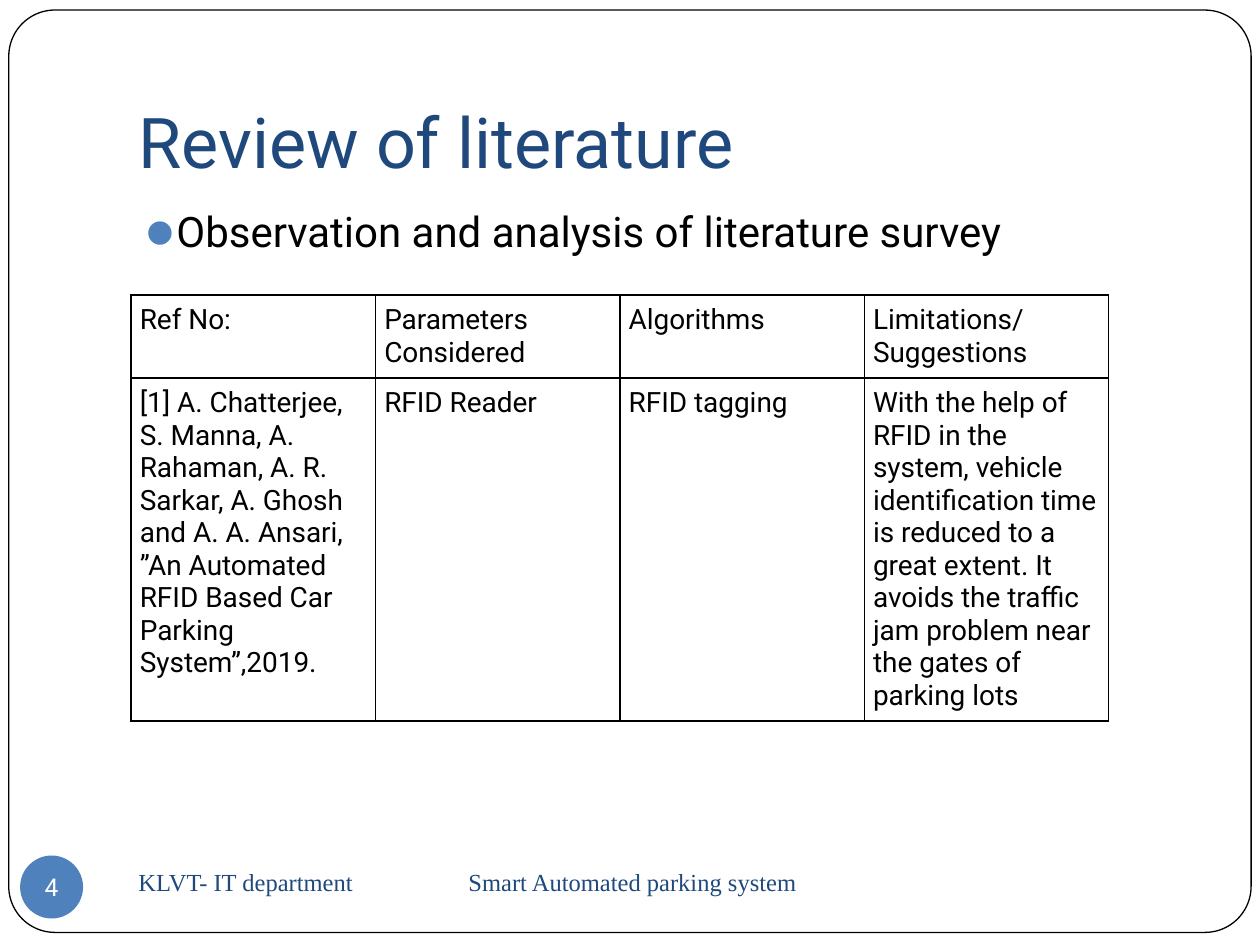
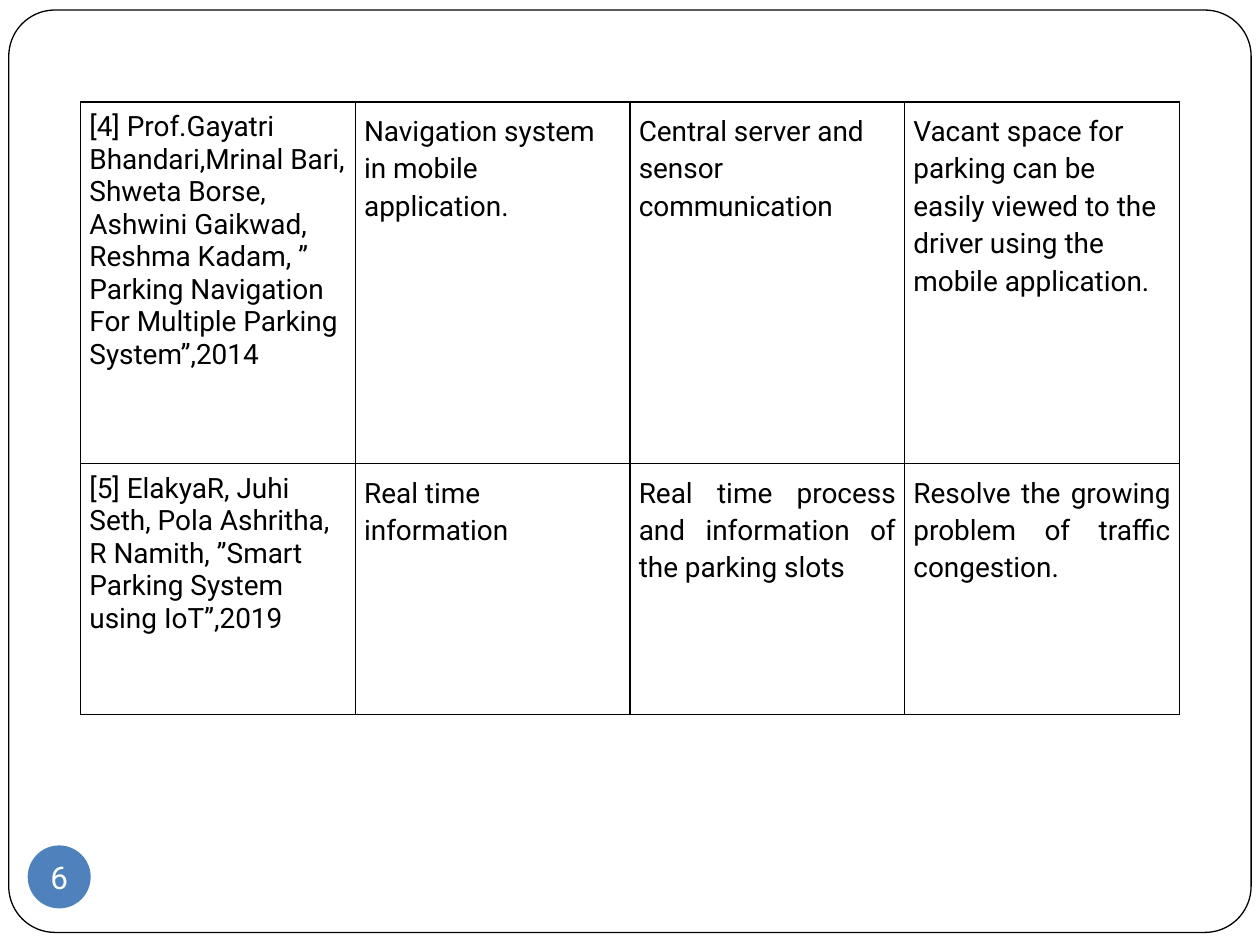
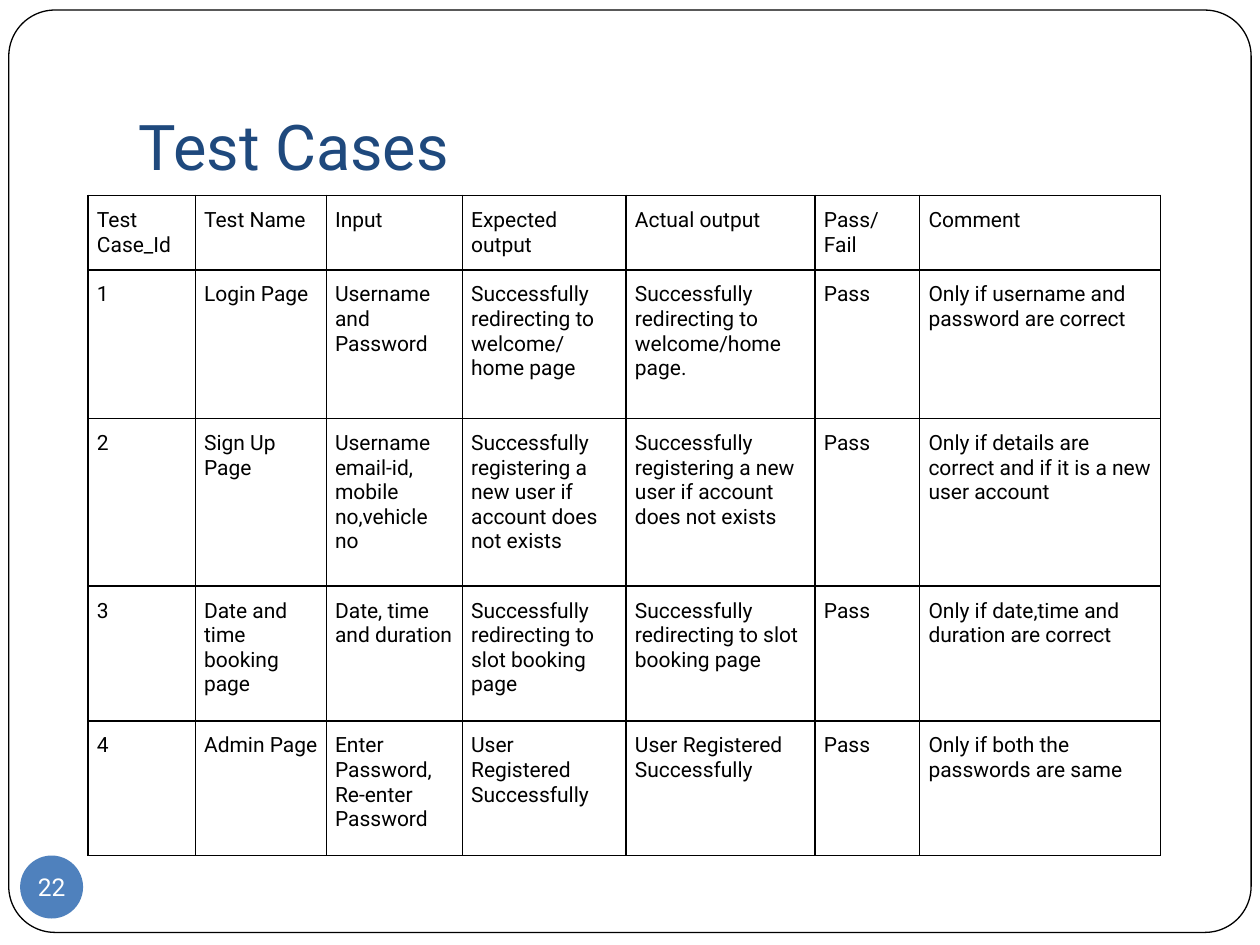
import pptx
import pptx.dml.color
import pptx.enum.shapes
import pptx.enum.text
import pptx.oxml
import pptx.oxml.ns
import pptx.util

COLUMNS, ROWS = 100, 75
CELL = pptx.util.Inches(0.1)
NAVY, BLUE, BLACK, WHITE = "1F497D", "4F81BD", "000000", "FFFFFF"
SANS, SERIF = "Roboto", "Times New Roman"
ALIGN = pptx.enum.text.PP_ALIGN
ANCHOR = pptx.enum.text.MSO_ANCHOR
SHAPE = pptx.enum.shapes.MSO_SHAPE
TITLE_AND_BODY, TITLE_ONLY, BLANK = 1, 5, 6

SURVEY_START = [
    ["Ref No:", "Parameters Considered", "Algorithms", "Limitations/Suggestions"],
    ["[1] A. Chatterjee, S. Manna, A. Rahaman, A. R. Sarkar, A. Ghosh and A. A. Ansari, "
     "”An Automated RFID Based Car Parking System”,2019.",
     "RFID Reader", "RFID tagging",
     "With the help of RFID in the system, vehicle identification time is reduced to a great extent. "
     "It avoids the traffic jam problem near the gates of parking lots"],
]
SURVEY_END = [
    ["[4] Prof.Gayatri Bhandari,Mrinal Bari, Shweta Borse, Ashwini Gaikwad, Reshma Kadam, "
     "” Parking Navigation For Multiple Parking System”,2014",
     "Navigation system in mobile application.", "Central server and sensor communication",
     "Vacant space for parking can be easily viewed to the driver using the mobile application."],
    ["[5] ElakyaR, Juhi Seth, Pola Ashritha, R Namith, ”Smart Parking System using IoT”,2019",
     "Real time information", "Real time process and information of the parking slots",
     "Resolve the growing problem of traffic congestion."],
]
REGISTERING = "Successfully registering a new user if account does not exists"
BOOKING = "Successfully redirecting to slot booking page"
REGISTERED = "User Registered Successfully"
TEST_CASES = [
    ["Test Case_Id", "Test Name", "Input", "Expected output", "Actual output", "Pass/Fail", "Comment"],
    ["1", "Login Page", "Username and Password", "Successfully redirecting to\nwelcome/home page",
     "Successfully redirecting to\nwelcome/home page.", "Pass", "Only if username and password are correct"],
    ["2", "Sign Up Page", "Username email-id, mobile no,vehicle no", REGISTERING, REGISTERING, "Pass",
     "Only if details are correct and if it is a new user account"],
    ["3", "Date and time booking page", "Date, time and duration", BOOKING, BOOKING, "Pass",
     "Only if date,time and duration are correct"],
    ["4", "Admin Page", "Enter Password, Re-enter Password", REGISTERED, REGISTERED, "Pass",
     "Only if both the passwords are same"],
]


def grid(*counts):
    """Turn counts of grid cells into lengths."""
    return [round(count * CELL) for count in counts]


def colour(value):
    """Return the colour for a hex string."""
    return pptx.dml.color.RGBColor.from_string(value)


def apply(target, values):
    """Set each named attribute on the target."""
    for name, value in values.items():
        setattr(target, name, value)


def add_xml(parent, tag, content):
    """Append a drawing element written as XML."""
    namespace = pptx.oxml.ns.nsdecls("a")
    parent.append(pptx.oxml.parse_xml(f"<a:{tag} {namespace} {content}"))


def style_text(frame, size, hue, font=SANS, **layout):
    """Format every paragraph in a text frame."""
    for para in frame.paragraphs:
        apply(para, layout)
        for span in para.runs:
            apply(span.font, {"size": pptx.util.Pt(size), "name": font})
            span.font.color.rgb = colour(hue)


def fill_frame(frame, text, anchor, margins):
    """Put text in a frame with its anchor and margins in grid cells."""
    sides = ("margin_left", "margin_top", "margin_right", "margin_bottom")
    apply(frame, {"text": text, "word_wrap": True, "vertical_anchor": anchor,
                  "auto_size": pptx.enum.text.MSO_AUTO_SIZE.NONE})
    apply(frame, dict(zip(sides, grid(*margins))))


def move(shape, *place):
    """Place a shape by left, top, width and height on the grid."""
    apply(shape, dict(zip(("left", "top", "width", "height"), grid(*place))))


def add_preset(page, kind, place, fill):
    """Add a flat preset shape."""
    shape = page.shapes.add_shape(kind, *grid(*place))
    shape.shadow.inherit = False
    shape.fill.solid()
    shape.fill.fore_color.rgb = colour(fill)
    return shape


def add_page(deck, layout, number, badge_place=(1.6, 67.9), badge_size=14):
    """Add a slide with the rounded border and the number badge."""
    page = deck.slides.add_slide(deck.slide_layouts[layout])
    border = add_preset(page, SHAPE.ROUNDED_RECTANGLE, (0.7, 0.8, 98.6, 73.2), WHITE)
    border.adjustments[0] = 0.05
    border.line.color.rgb = colour(BLACK)
    border.line.width = pptx.util.Pt(0.75)
    border.element.getparent().insert(2, border.element)
    badge = add_preset(page, SHAPE.OVAL, (*badge_place, 5, 5), BLUE)
    badge.line.fill.background()
    fill_frame(badge.text_frame, str(number), ANCHOR.MIDDLE, (0, 0, 0, 0))
    style_text(badge.text_frame, badge_size, WHITE, alignment=ALIGN.CENTER)
    return page


def set_title(page, text, size):
    """Fill the title placeholder."""
    title = page.shapes.title
    move(title, 10, 3, 85, 12.5)
    fill_frame(title.text_frame, text, ANCHOR.BOTTOM, (1, 0.5, 1, 1))
    style_text(title.text_frame, size, NAVY, alignment=ALIGN.LEFT)


def set_bullet(page, text):
    """Fill the body placeholder with one bulleted line."""
    body = page.placeholders[1]
    move(body, 10, 15.8, 85, 50)
    fill_frame(body.text_frame, text, ANCHOR.TOP, (1, 0.5, 1, 0.5))
    style_text(body.text_frame, 24, BLACK, space_before=pptx.util.Pt(0))
    properties = body.text_frame.paragraphs[0]._p.get_or_add_pPr()
    indent, hanging = grid(3, -2.3)
    properties.set("marL", str(indent))
    properties.set("indent", str(hanging))
    add_xml(properties, "buClr", f'><a:srgbClr val="{BLUE}"/></a:buClr>')
    add_xml(properties, "buChar", 'char="⚫"/>')


def add_footer(page, department, project):
    """Add the footer with the project at a tab stop."""
    box = page.shapes.add_textbox(*grid(10, 67.5, 77.7, 5))
    fill_frame(box.text_frame, f"{department}\t{project}", ANCHOR.MIDDLE, (1, 0.5, 1, 0.5))
    style_text(box.text_frame, 14, NAVY, SERIF)
    properties = box.text_frame.paragraphs[0]._p.get_or_add_pPr()
    add_xml(properties, "tabLst", f'><a:tab pos="{grid(26.2)[0]}" algn="l"/></a:tabLst>')


def add_grid_table(page, corner, widths, heights, content, size, inset):
    """Add a plain table with thin black borders."""
    place = grid(*corner, sum(widths), sum(heights))
    table = page.shapes.add_table(len(heights), len(widths), *place).table
    apply(table, {"first_row": False, "horz_banding": False})
    for column, width in zip(table.columns, grid(*widths)):
        column.width = width
    for row, height, texts in zip(table.rows, grid(*heights), content):
        row.height = height
        for cell, text in zip(row.cells, texts):
            fill_cell(cell, text, size, inset)
    return table


def fill_cell(cell, text, size, inset):
    """Write a cell and draw its borders."""
    side, edge = grid(0.7, inset)
    apply(cell, {"text": text, "margin_left": side, "margin_right": side,
                 "margin_top": edge, "margin_bottom": edge})
    style_text(cell.text_frame, size, BLACK)
    properties = cell._tc.get_or_add_tcPr()
    for border in ("lnL", "lnR", "lnT", "lnB"):
        add_xml(properties, border, f'w="{pptx.util.Pt(1)}"><a:solidFill>'
                f'<a:srgbClr val="{BLACK}"/></a:solidFill></a:{border}>')
    cell.fill.background()


def loosen_findings(table):
    """Open the line spacing beside the references and justify the last findings."""
    last = len(table.rows) - 1
    for row_index, row in enumerate(table.rows):
        for column_index, cell in enumerate(row.cells):
            para = cell.text_frame.paragraphs[0]
            if column_index:
                para.line_spacing = 1.15
            if row_index == last and column_index > 1:
                para.alignment = ALIGN.JUSTIFY


def main():
    """Build the three slides."""
    deck = pptx.Presentation()
    deck.slide_width, deck.slide_height = grid(COLUMNS, ROWS)

    review = add_page(deck, TITLE_AND_BODY, 4)
    set_title(review, "Review of literature", 40)
    set_bullet(review, "Observation and analysis of literature survey")
    add_footer(review, "KLVT- IT department", "Smart Automated parking system")
    add_grid_table(review, (10.4, 23.4), [19.4] * 4, [6.6, 27.2], SURVEY_START, 16, 0.7)

    survey = add_page(deck, BLANK, 6, (2.2, 67.1), 18)
    findings = add_grid_table(survey, (6.4, 8.1), [21.8] * 4, [28.7, 19.9], SURVEY_END, 16, 0.7)
    loosen_findings(findings)

    tests = add_page(deck, TITLE_ONLY, 22)
    set_title(tests, "Test Cases", 36)
    add_grid_table(tests, (7, 15.5), [8.5, 10.4, 10.8, 13, 15, 8.3, 19.1],
                   [5.9, 11.8, 13.3, 10.7, 10.7], TEST_CASES, 12, 1)

    deck.save("out.pptx")


if __name__ == "__main__":
    main()
